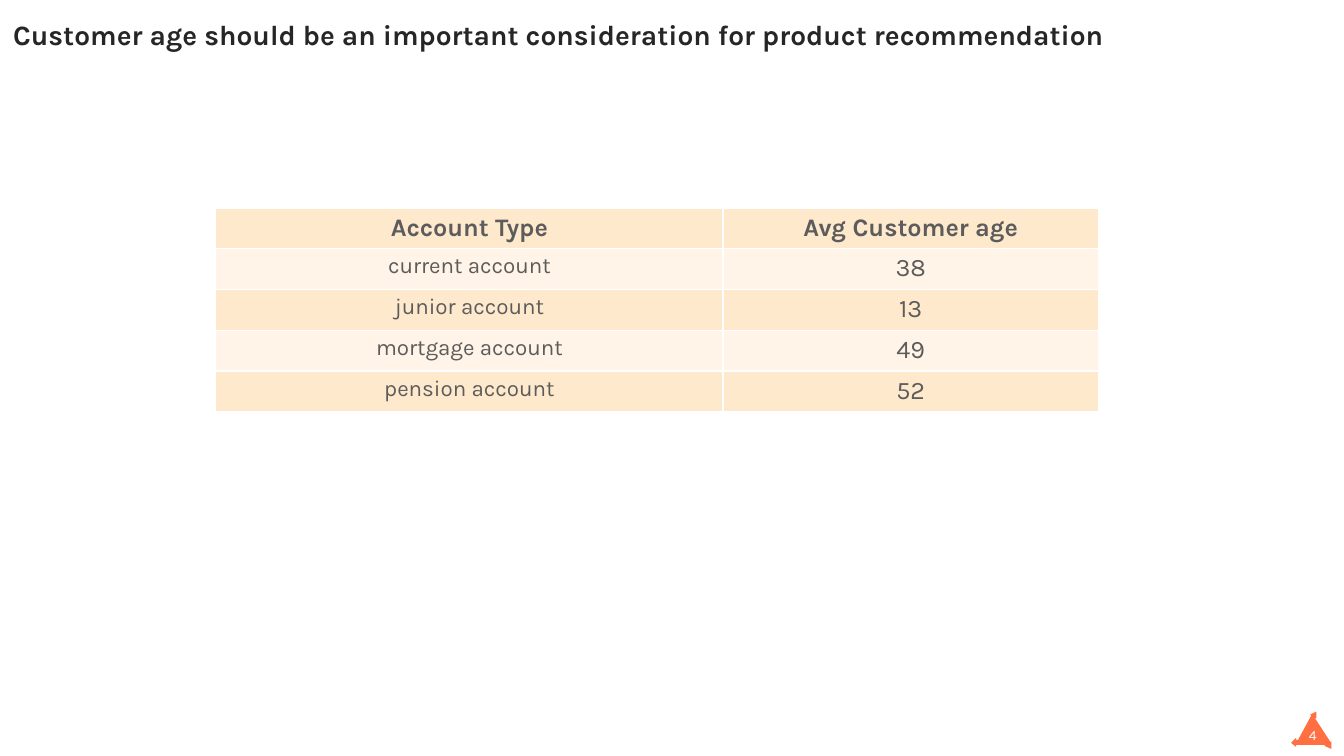
import dataclasses

import lxml.etree
import pptx
import pptx.dml.color
import pptx.enum.text
import pptx.oxml.ns
import pptx.util

Cm = pptx.util.Cm
RGB = pptx.dml.color.RGBColor.from_string
ALIGN = pptx.enum.text.PP_ALIGN
ANCHOR = pptx.enum.text.MSO_ANCHOR


@dataclasses.dataclass(frozen=True)
class Theme:
    font: str = "Karla"
    title_color: str = "262626"
    table_color: str = "5C5C5C"
    white: str = "FFFFFF"
    accent: str = "FF6F41"
    bands: tuple = ("FEE9CC", "FFF4E7")
    title_size: int = 20
    table_size: int = 18
    label_size: int = 16
    number_size: int = 10


theme = Theme()


def put_text(tf, text, *, size, color, bold=False, align=ALIGN.CENTER):
    p = tf.paragraphs[0]
    p.alignment = align
    r = p.add_run()
    r.text = text
    r.font.name = theme.font
    r.font.size = pptx.util.Pt(size)
    r.font.bold = bold
    r.font.color.rgb = RGB(color)


def add_borders(cell, color):
    tc_pr = cell._tc.get_or_add_tcPr()
    for side in ("a:lnL", "a:lnR", "a:lnT", "a:lnB"):
        ln = lxml.etree.SubElement(tc_pr, pptx.oxml.ns.qn(side), w=str(pptx.util.Pt(1)))
        fill = lxml.etree.SubElement(ln, pptx.oxml.ns.qn("a:solidFill"))
        lxml.etree.SubElement(fill, pptx.oxml.ns.qn("a:srgbClr"), val=color)


prs = pptx.Presentation()
prs.slide_width, prs.slide_height = Cm(33.87), Cm(19.05)
s = prs.slides.add_slide(prs.slide_layouts.get_by_name("Title Only"))

# Page number on a rough triangle, outlined in hundredths of an inch
outline = [
    (1320, 736), (1305, 713), (1305, 712), (1306, 713), (1306, 706), (1300, 709),
    (1301, 710), (1288, 734), (1286, 734), (1286, 732), (1281, 737), (1286, 741),
    (1286, 739), (1315, 739), (1314, 740), (1321, 743), (1321, 736),
]
builder = s.shapes.build_freeform(*outline[0], scale=Cm(0.0254))
builder.add_line_segments(outline[1:], close=True)
sp = builder.convert_to_shape()
sp.shadow.inherit = False
sp.fill.solid()
sp.fill.fore_color.rgb = RGB(theme.accent)
sp.line.fill.background()
tf = sp.text_frame
tf.word_wrap = True
tf.vertical_anchor = ANCHOR.MIDDLE
tf.margin_left, tf.margin_top = Cm(0.33), Cm(0.38)
tf.margin_right, tf.margin_bottom = Cm(0.25), Cm(0.13)
put_text(tf, "4", size=theme.number_size, color=theme.white)

# Title
title = s.shapes.title
title.left, title.top = Cm(0.33), Cm(0.32)
title.width, title.height = Cm(32.61), Cm(2.03)
tf = title.text_frame
tf.word_wrap = True
tf.auto_size = pptx.enum.text.MSO_AUTO_SIZE.NONE
tf.vertical_anchor = ANCHOR.TOP
tf.margin_left = tf.margin_right = 0
tf.margin_top = tf.margin_bottom = Cm(0.13)
put_text(tf, "Customer age should be an important consideration for product recommendation",
         size=theme.title_size, color=theme.title_color, bold=True, align=ALIGN.LEFT)

# Average age by account type
rows = [
    ("Account Type", "Avg Customer age"),
    ("current account", "38"),
    ("junior account", "13"),
    ("mortgage account", "49"),
    ("pension account", "52"),
]
col_widths = [Cm(12.78), Cm(9.46)]
row_heights = [Cm(0.95)] + [Cm(1.03)] * (len(rows) - 1)
table = s.shapes.add_table(len(rows), len(col_widths), Cm(5.44), Cm(5.26),
                           sum(col_widths), sum(row_heights)).table
for column, width in zip(table.columns, col_widths):
    column.width = width
for i, (row, height) in enumerate(zip(rows, row_heights)):
    table.rows[i].height = height
    for j, text in enumerate(row):
        cell = table.cell(i, j)
        add_borders(cell, theme.white)
        cell.fill.solid()
        cell.fill.fore_color.rgb = RGB(theme.bands[i % 2])
        is_label = i > 0 and j == 0
        put_text(cell.text_frame, text, color=theme.table_color, bold=i == 0,
                 size=theme.label_size if is_label else theme.table_size)

prs.save("out.pptx")
